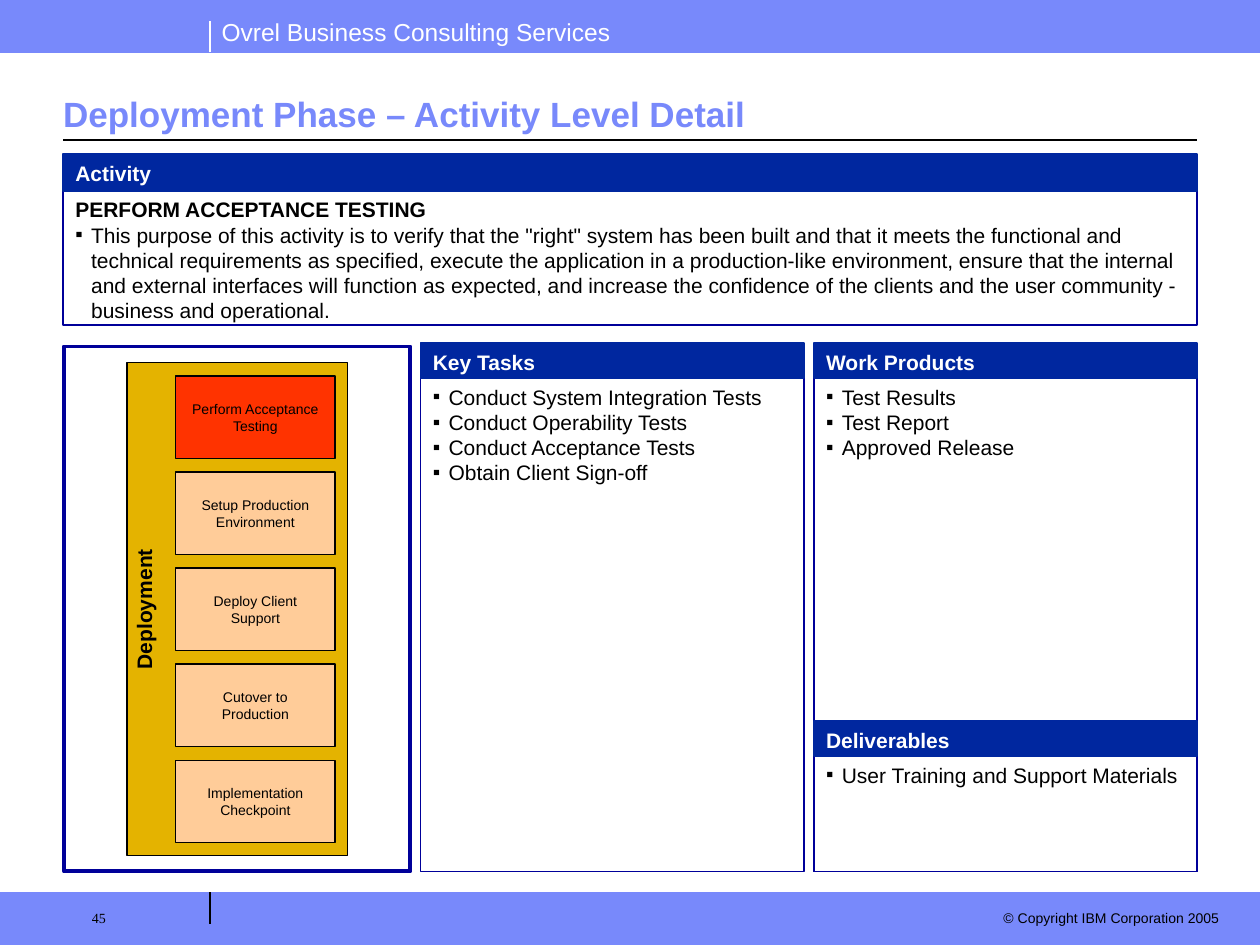
import pptx
import pptx.util
import pptx.dml.color
import pptx.enum.shapes
import pptx.enum.text
from lxml import etree
import pptx.oxml.ns

Pt = pptx.util.Pt
ALIGN = pptx.enum.text.PP_ALIGN
ANCHOR = pptx.enum.text.MSO_ANCHOR
qn = pptx.oxml.ns.qn

HUES = {
    "band": "7889FB", "head": "00279F", "edge": "000099", "gold": "E4B300",
    "red": "FF3300", "peach": "FFCC99", "white": "FFFFFF", "black": "000000",
}
PAD = (7.2, 3.6, 7.2, 3.6)
WIDE, TALL = 720, 540
LEFT, RIGHT = 36, 684


def hue(name):
    return pptx.dml.color.RGBColor.from_string(HUES[name])


def mark(para):
    """Give a paragraph a hanging square bullet."""
    props = para._p.get_or_add_pPr()
    props.set("marL", str(Pt(9)))
    props.set("indent", str(Pt(-9)))
    tint = etree.SubElement(props, qn("a:buClr"))
    etree.SubElement(tint, qn("a:srgbClr"), val=HUES["black"])
    etree.SubElement(props, qn("a:buFont"), typeface="Arial")
    etree.SubElement(props, qn("a:buChar"), char="▪")


def write(shape, text, size=12, font="Arial", color="black", bold=False,
          align=ALIGN.LEFT, anchor=ANCHOR.TOP, pad=PAD, bullet=False,
          title=None, wrap=True):
    """Fill a shape with text; title is a bold line above the rest."""
    frame = shape.text_frame
    frame.word_wrap = wrap
    frame.auto_size = pptx.enum.text.MSO_AUTO_SIZE.NONE
    frame.vertical_anchor = anchor
    (frame.margin_left, frame.margin_top,
     frame.margin_right, frame.margin_bottom) = map(Pt, pad)
    lines = [text] if isinstance(text, str) else list(text)
    if title:
        lines.insert(0, title)
    for num, line in enumerate(lines):
        top = bool(title) and num == 0
        para = frame.paragraphs[0] if num == 0 else frame.add_paragraph()
        para.alignment = align
        if bullet and not top:
            mark(para)
        run = para.add_run()
        run.text = line
        run.font.size = Pt(size)
        run.font.name = font
        run.font.bold = bold or top
        run.font.color.rgb = hue(color)


class Page:
    def __init__(self, deck):
        self.slide = deck.slides.add_slide(deck.slide_layouts[5])
        self.shapes = self.slide.shapes

    def title(self, text, x, y, w, h):
        item = self.shapes.title
        item.left, item.top, item.width, item.height = map(Pt, (x, y, w, h))
        write(item, text, size=20, color="band", bold=True,
              anchor=ANCHOR.BOTTOM, pad=(0, 3.6, 0, 3.6))

    def rect(self, x, y, w, h, fill=None, line="black", weight=0.75):
        item = self.shapes.add_shape(
            pptx.enum.shapes.MSO_SHAPE.RECTANGLE, *map(Pt, (x, y, w, h)))
        item.shadow.inherit = False
        if fill:
            item.fill.solid()
            item.fill.fore_color.rgb = hue(fill)
        else:
            item.fill.background()
        item.line.color.rgb = hue(line)
        item.line.width = Pt(weight)
        return item

    def label(self, text, x, y, w, h, **style):
        write(self.shapes.add_textbox(*map(Pt, (x, y, w, h))), text, **style)

    def rule(self, x1, y1, x2, y2, color="black", weight=0.75):
        item = self.shapes.add_connector(
            pptx.enum.shapes.MSO_CONNECTOR.STRAIGHT,
            *map(Pt, (x1, y1, x2, y2)))
        item.line.color.rgb = hue(color)
        item.line.width = Pt(weight)
        etree.SubElement(item._element.spPr, qn("a:effectLst"))

    def panel(self, head, lines, x, y, w, cap, h, title=None):
        """A bordered list below a dark heading bar."""
        body = self.rect(x, y + cap, w, h, line="edge", weight=1)
        write(body, lines, bullet=True, title=title)
        bar = self.rect(x, y, w, cap, fill="head", line="head", weight=1)
        write(bar, head, color="white", bold=True)

    def flow(self, name, steps, x, y, w, h):
        """A phase column with its steps, the first one current."""
        back = self.rect(x, y, w, h, fill="gold")
        write(back, name, bold=True, align=ALIGN.CENTER, pad=(2.5, 0, 0, 0))
        back.text_frame._txBody.bodyPr.set("vert", "vert270")
        for num, step in enumerate(steps):
            box = self.rect(x + 28, y + 7.5 + 54.9 * num, 91, 47.2,
                            fill="peach" if num else "red")
            write(box, step, size=8, align=ALIGN.CENTER, anchor=ANCHOR.MIDDLE)


def main():
    deck = pptx.Presentation()
    deck.slide_width, deck.slide_height = Pt(WIDE), Pt(TALL)
    page = Page(deck)

    # Header and footer bands
    for top in (TALL - 30, 0):
        page.rect(0, top, WIDE, 30, fill="band", line="band")
    page.label("Ovrel Business Consulting Services", 119.5, 6, 228, 24,
               size=14, color="white", wrap=False)
    page.rule(120, 30, 120, 12, color="white")
    page.rule(120, 528, 120, 510)
    page.label("© Copyright IBM Corporation 2005", 552, 516, 152, 17,
               size=8, align=ALIGN.RIGHT)
    page.label("45", 24, 515, 96, 25, size=8, font="Times New Roman",
               pad=(28.5, 5, 7.2, 3.6))

    # Title
    page.title("Deployment Phase – Activity Level Detail",
               LEFT, 48, RIGHT - LEFT, 32.5)
    page.rule(LEFT, 80, RIGHT, 80)

    # Activity
    page.panel(
        "Activity",
        'This purpose of this activity is to verify that the "right" system '
        "has been built and that it meets the functional and technical "
        "requirements as specified, execute the application in a "
        "production-like environment, ensure that the internal and external "
        "interfaces will function as expected, and increase the confidence "
        "of the clients and the user community - business and operational.",
        LEFT, 88, RIGHT - LEFT, 21, 77, title="PERFORM ACCEPTANCE TESTING")

    # Phase flow
    page.rect(36.5, 198, 198, 300, line="edge", weight=2.25)
    page.flow("Deployment", [
        "Perform Acceptance Testing", "Setup Production Environment",
        "Deploy Client Support", "Cutover to Production",
        "Implementation Checkpoint"], 72.5, 207.3, 126, 281.7)

    # Tasks and outputs
    wide = 219
    page.panel("Key Tasks", [
        "Conduct System Integration Tests", "Conduct Operability Tests",
        "Conduct Acceptance Tests", "Obtain Client Sign-off"],
        240.3, 196, wide, 20, 282)
    page.panel("Work Products",
               ["Test Results", "Test Report", "Approved Release"],
               RIGHT - wide, 196, wide, 20, 282)
    page.panel("Deliverables", "User Training and Support Materials",
               RIGHT - wide, 412, wide, 20, 66)

    deck.save("out.pptx")


if __name__ == "__main__":
    main()
